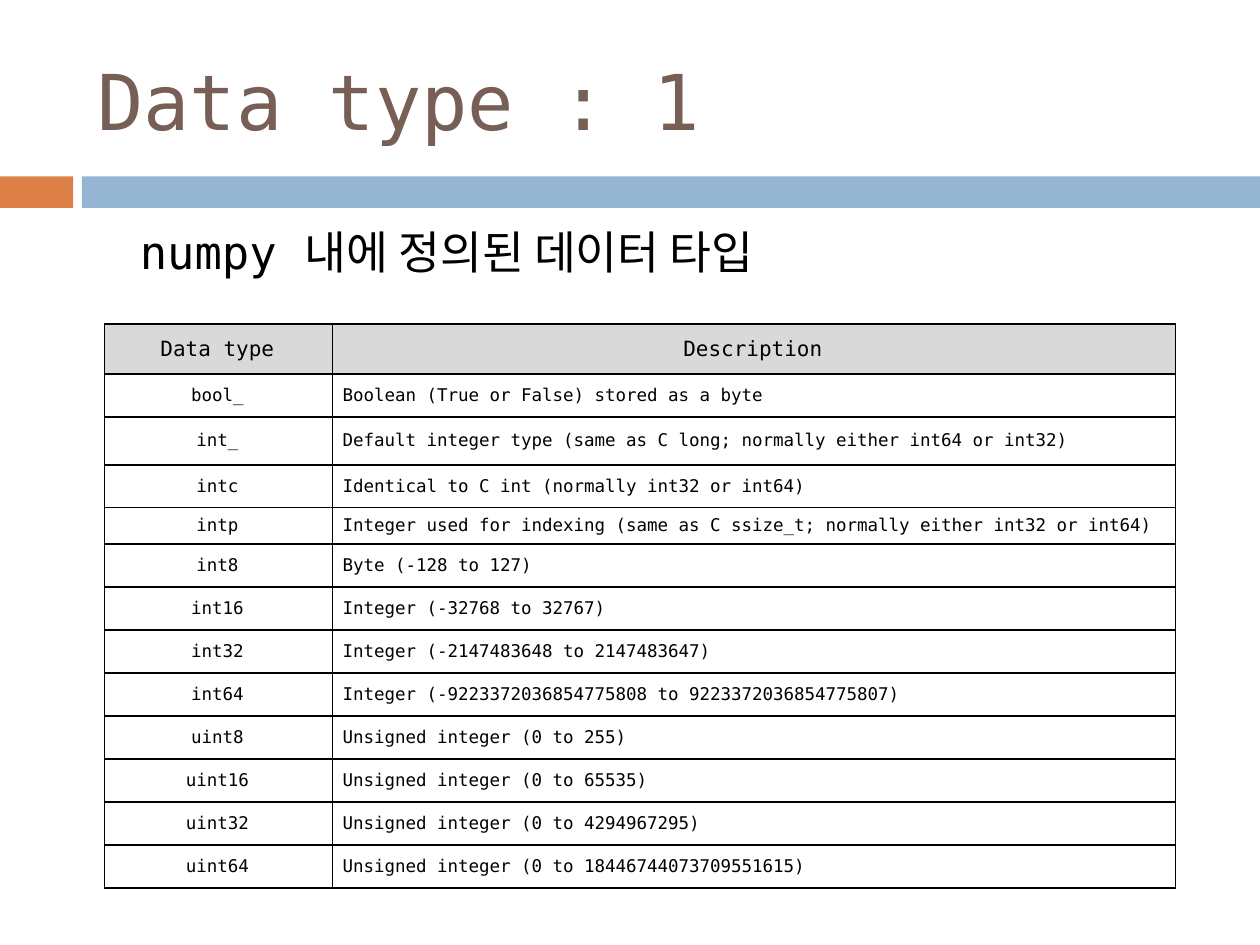
from dataclasses import dataclass

from lxml import etree
from pptx import Presentation
from pptx import util as u
from pptx.dml import color
from pptx.enum import shapes, text
from pptx.oxml import ns


@dataclass(frozen=True)
class Theme:
    font: str = "DejaVu Sans Mono"
    title: str = "775F55"
    ink: str = "000000"
    accent: str = "DD8047"
    band: str = "94B6D2"
    header: str = "D9D9D9"
    paper: str = "FFFFFF"
    title_size: int = 44
    body_size: int = 26
    header_size: int = 12
    cell_size: int = 10
    border: int = 1


COLUMNS, ROWS = 100, 75  # slide grid


class SlideBuilder:
    def __init__(self, presentation, theme):
        self.theme = theme
        self.width = presentation.slide_width
        self.height = presentation.slide_height
        self.slide = presentation.slides.add_slide(presentation.slide_layouts[1])

    def across(self, columns):
        return round(self.width * columns / COLUMNS)

    def down(self, rows):
        return round(self.height * rows / ROWS)

    def box(self, left, top, width, height):
        return self.across(left), self.down(top), self.across(width), self.down(height)

    def style(self, paragraph, size, ink, alignment=text.PP_ALIGN.LEFT):
        paragraph.alignment = alignment
        paragraph.font.name = self.theme.font
        paragraph.font.size = u.Pt(size)
        paragraph.font.color.rgb = color.RGBColor.from_string(ink)

    def bar(self, place, fill):
        shape = self.slide.shapes.add_shape(shapes.MSO_SHAPE.RECTANGLE, *self.box(*place))
        shape.shadow.inherit = False
        shape.fill.solid()
        shape.fill.fore_color.rgb = color.RGBColor.from_string(fill)
        shape.line.fill.background()

    def placeholder(self, index, words, place, anchor):
        shape = self.slide.placeholders[index]
        shape.left, shape.top, shape.width, shape.height = self.box(*place)
        frame = shape.text_frame
        frame.text = words
        frame.word_wrap = True
        frame.auto_size = text.MSO_AUTO_SIZE.NONE
        frame.vertical_anchor = anchor
        return frame.paragraphs[0]

    def title(self, words, place):
        paragraph = self.placeholder(0, words, place, text.MSO_ANCHOR.MIDDLE)
        self.style(paragraph, self.theme.title_size, self.theme.title)

    def body(self, words, place, indent):
        paragraph = self.placeholder(1, words, place, text.MSO_ANCHOR.TOP)
        paragraph.level = 1
        properties = paragraph._p.get_or_add_pPr()
        properties.set("marL", str(self.across(indent)))
        properties.set("indent", "0")
        etree.SubElement(properties, ns.qn("a:buNone"))
        paragraph.space_before = u.Pt(0)
        self.style(paragraph, self.theme.body_size, self.theme.ink)

    def borders(self, cell):
        properties = cell._tc.get_or_add_tcPr()
        for side in ("lnL", "lnR", "lnT", "lnB"):
            line = etree.SubElement(properties, ns.qn(f"a:{side}"), w=str(u.Pt(self.theme.border)))
            fill = etree.SubElement(line, ns.qn("a:solidFill"))
            etree.SubElement(fill, ns.qn("a:srgbClr"), val=self.theme.ink)

    def cell(self, cell, words, is_header, centered):
        theme = self.theme
        self.borders(cell)
        cell.fill.solid()
        cell.fill.fore_color.rgb = color.RGBColor.from_string(
            theme.header if is_header else theme.paper)
        cell.vertical_anchor = text.MSO_ANCHOR.MIDDLE
        cell.margin_left = self.across(0.2 if centered else 0.8)
        cell.margin_right = self.across(0.4)
        cell.margin_top = cell.margin_bottom = 0
        cell.text = words
        self.style(cell.text_frame.paragraphs[0],
                   theme.header_size if is_header else theme.cell_size, theme.ink,
                   text.PP_ALIGN.CENTER if centered else text.PP_ALIGN.LEFT)

    def table(self, records, left, top, widths, heights):
        place = self.box(left, top, sum(widths), sum(heights))
        table = self.slide.shapes.add_table(len(records), len(widths), *place).table
        table.first_row = table.horz_banding = False
        for column, width in zip(table.columns, widths):
            column.width = self.across(width)
        for number, (row, height, record) in enumerate(zip(table.rows, heights, records)):
            row.height = self.down(height)
            for position, (cell, words) in enumerate(zip(row.cells, record)):
                self.cell(cell, words, number == 0, number == 0 or position == 0)


DATA_TYPES = [
    ("Data type", "Description"),
    ("bool_", "Boolean (True or False) stored as a byte"),
    ("int_", "Default integer type (same as C long; normally either int64 or int32)"),
    ("intc", "Identical to C int (normally int32 or int64)"),
    ("intp", "Integer used for indexing (same as C ssize_t; normally either int32 or int64)"),
    ("int8", "Byte (-128 to 127)"),
    ("int16", "Integer (-32768 to 32767)"),
    ("int32", "Integer (-2147483648 to 2147483647)"),
    ("int64", "Integer (-9223372036854775808 to 9223372036854775807)"),
    ("uint8", "Unsigned integer (0 to 255)"),
    ("uint16", "Unsigned integer (0 to 65535)"),
    ("uint32", "Unsigned integer (0 to 4294967295)"),
    ("uint64", "Unsigned integer (0 to 18446744073709551615)"),
]


def main():
    presentation = Presentation()
    presentation.slide_width, presentation.slide_height = u.Inches(10), u.Inches(7.5)
    theme = Theme()
    builder = SlideBuilder(presentation, theme)

    # Divider under the title
    builder.bar((0, 14, 5.8, 2.5), theme.accent)
    builder.bar((6.5, 14, 93.5, 2.5), theme.band)

    # Title and lead line
    builder.title("Data type : 1", (6.7, 2.5, 89.2, 10.8))
    builder.body("numpy 내에 정의된 데이터 타입", (5.1, 17.3, 90, 14.7), indent=5)

    # Data types: a few rows differ from the common height
    heights = [4, 3.4, 3.8, 3.4, 2.9] + [3.41] * 8
    builder.table(DATA_TYPES, 8.3, 25.7, (18.1, 66.9), heights)

    presentation.save("out.pptx")


if __name__ == "__main__":
    main()
